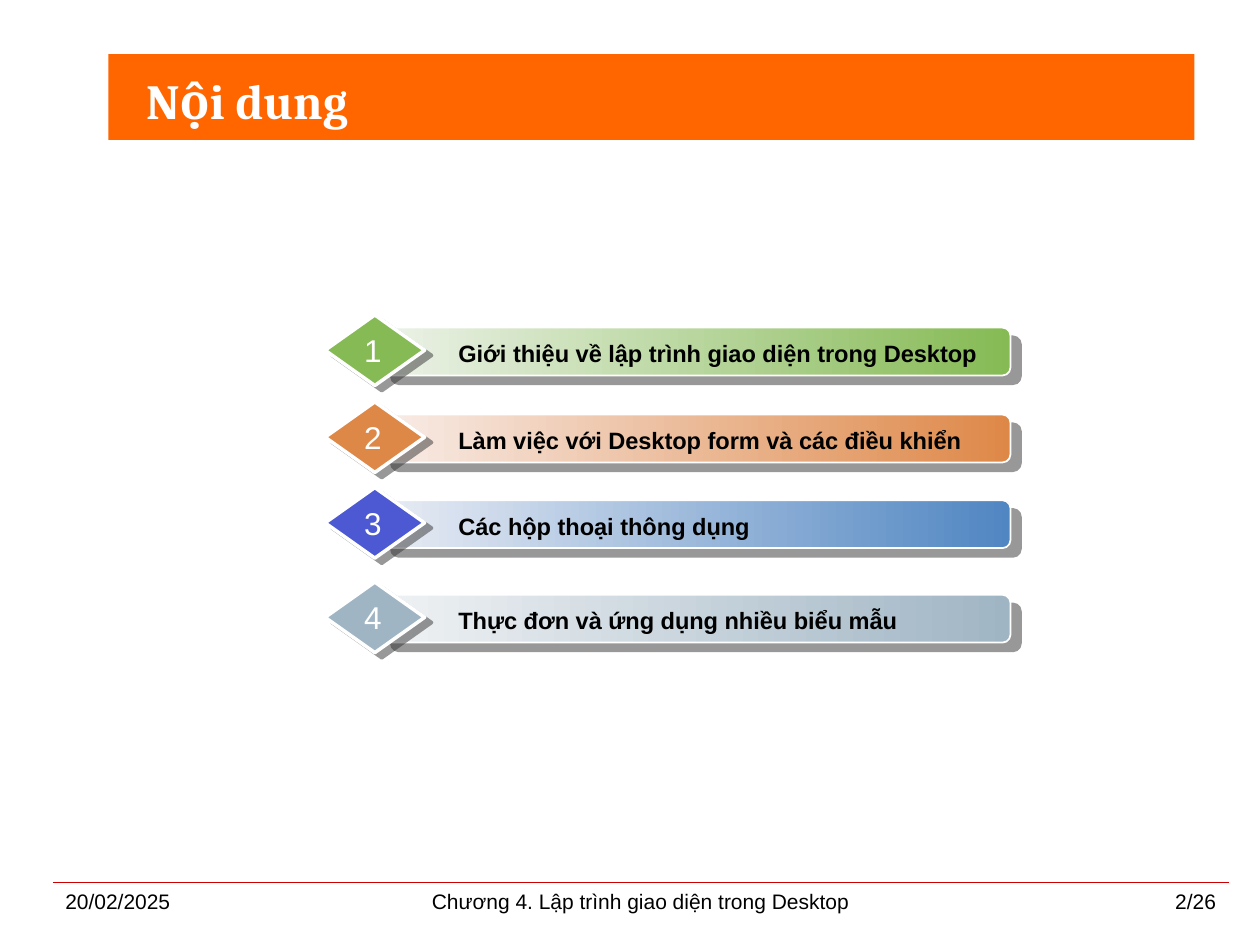
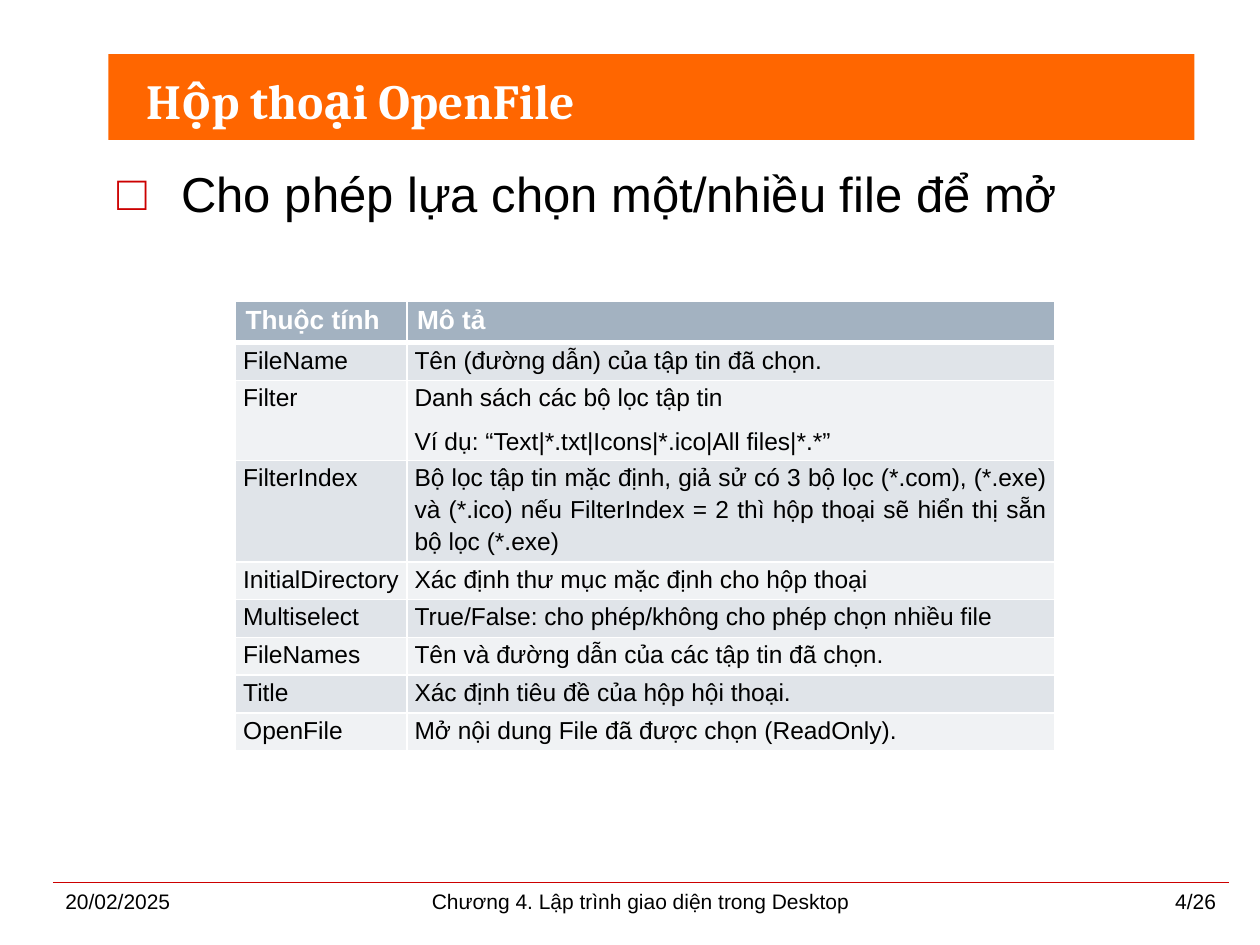
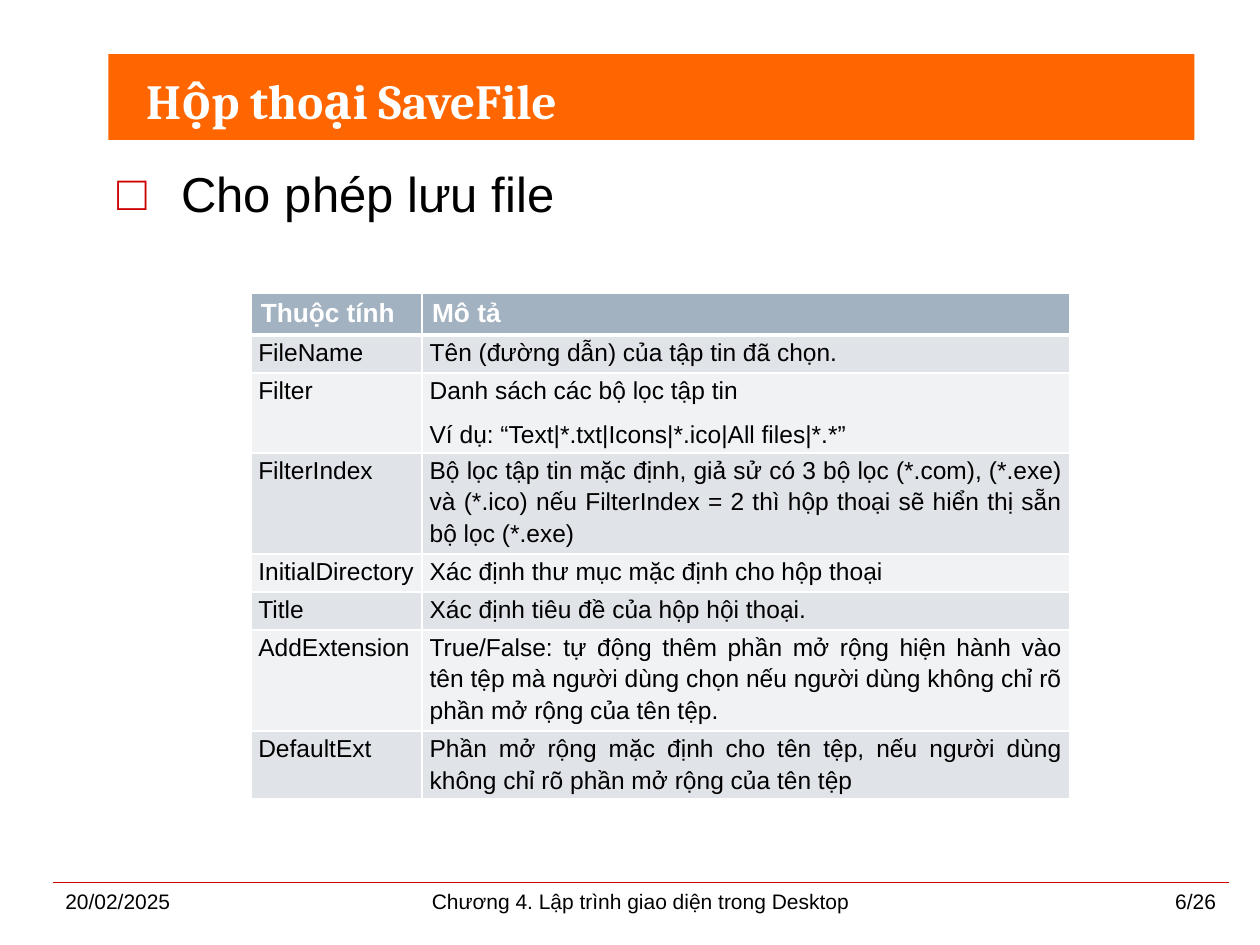
from lxml.etree import SubElement
from pptx import Presentation
from pptx.dml.color import RGBColor
from pptx.enum.shapes import MSO_CONNECTOR, MSO_SHAPE
from pptx.enum.text import MSO_ANCHOR, MSO_AUTO_SIZE, PP_ALIGN
from pptx.oxml.ns import qn
from pptx.util import Emu, Pt

EMU_PER_PX = 9144
BLACK, WHITE = "000000", "FFFFFF"
ORANGE, RED, SHADOW = "FF6600", "CC0000", "333333"
HEADER_FILL, ODD_FILL, EVEN_FILL = "A3B2C1", "E0E4E9", "F0F2F4"
BODY_FONT, TITLE_FONT = "Arial", "Cambria"
TITLE_ONLY, TITLE_AND_CONTENT = 5, 1

DATE = "20/02/2025"
CHAPTER = "Chương 4. Lập trình giao diện trong Desktop"
PAGE_COUNT = 26

AGENDA = [
    (260, "Giới thiệu về lập trình giao diện trong Desktop", "85BA54", "ECF2E8", "85BA54"),
    (329, "Làm việc với Desktop form và các điều khiển", "DE8848", "F8ECE7", "DE8848"),
    (397, "Các hộp thoại thông dụng", "4C59D2", "E8ECF4", "5086C2"),
    (472, "Thực đơn và ứng dụng nhiều biểu mẫu", "A0B5C4", "EFF2F4", "A0B5C4"),
]

HEADINGS = (33, "Thuộc tính", "Mô tả")
TITLE_ROW = (30, "Title", "Xác định tiêu đề của hộp hội thoại.")
COMMON_ROWS = [
    (30, "FileName", "Tên (đường dẫn) của tập tin đã chọn."),
    (57, "Filter", "Danh sách các bộ lọc tập tin\nVí dụ: “Text|*.txt|Icons|*.ico|All files|*.*”"),
    (75, "FilterIndex", "Bộ lọc tập tin mặc định, giả sử có 3 bộ lọc (*.com), (*.exe) và (*.ico) "
     "nếu FilterIndex = 2 thì hộp thoại sẽ hiển thị sẵn bộ lọc (*.exe)"),
    (30, "InitialDirectory", "Xác định thư mục mặc định cho hộp thoại"),
]
OPEN_ROWS = COMMON_ROWS + [
    (30, "Multiselect", "True/False: cho phép/không cho phép chọn nhiều file"),
    (30, "FileNames", "Tên và đường dẫn của các tập tin đã chọn."),
    TITLE_ROW,
    (30, "OpenFile", "Mở nội dung File đã được chọn (ReadOnly)."),
]
SAVE_ROWS = COMMON_ROWS + [
    TITLE_ROW,
    (75, "AddExtension", "True/False: tự động thêm phần mở rộng hiện hành vào tên tệp mà người dùng "
     "chọn nếu người dùng không chỉ rõ phần mở rộng của tên tệp."),
    (50, "DefaultExt", "Phần mở rộng mặc định cho tên tệp, nếu người dùng không chỉ rõ "
     "phần mở rộng của tên tệp"),
]


def px(length):
    """Turn px into EMU, at 100 px to the inch."""
    return Emu(length * EMU_PER_PX)


def box(*lengths):
    """Turn left, top, width and height into EMU."""
    return [px(length) for length in lengths]


def color(hex_value):
    """Return the colour of a hex string."""
    return RGBColor.from_string(hex_value)


def format_text(text_frame, size, hex_value=BLACK, bold=False, align=PP_ALIGN.LEFT, font=BODY_FONT):
    """Format every run and paragraph of a text frame."""
    for paragraph in text_frame.paragraphs:
        paragraph.alignment = align
        for run in paragraph.runs:
            run.font.name = font
            run.font.size = Pt(size)
            run.font.bold = bold
            run.font.color.rgb = color(hex_value)


def add_text(shapes, place, text, size, wrap=True, **style):
    """Add a text box with one style."""
    text_frame = shapes.add_textbox(*box(*place)).text_frame
    text_frame.text = text
    text_frame.word_wrap = wrap
    format_text(text_frame, size, **style)
    return text_frame


def add_preset(shapes, kind, place, fill=None, line_width=0):
    """Add a preset shape with an optional solid fill and white outline."""
    shape = shapes.add_shape(kind, *box(*place))
    shape.shadow.inherit = False
    if fill:
        shape.fill.solid()
        shape.fill.fore_color.rgb = color(fill)
    if line_width:
        shape.line.color.rgb = color(WHITE)
        shape.line.width = Pt(line_width)
    else:
        shape.line.fill.background()
    return shape


def add_shadow(shape, distance, angle):
    """Give a shape a hard half-transparent shadow."""
    effects = shape.element.spPr.find(qn("a:effectLst"))
    shadow = SubElement(effects, qn("a:outerShdw"), blurRad="0", dist=str(Pt(distance)),
                        dir=str(angle * 60000), algn="ctr", rotWithShape="0")
    tint = SubElement(shadow, qn("a:srgbClr"), val=SHADOW)
    SubElement(tint, qn("a:alpha"), val="50000")


def move_to_master(presentation, shape, shape_id):
    """Move a shape behind the placeholders of the slide master."""
    shape.element.xpath(".//p:cNvPr")[0].set("id", str(shape_id))
    presentation.slide_master.shapes.element.insert(2, shape.element)


def add_shared_frame(presentation, slide):
    """Put the title band and footer line on the slide master."""
    band = add_preset(slide.shapes, MSO_SHAPE.RECTANGLE, (86, 43, 862, 68), ORANGE)
    line = slide.shapes.add_connector(MSO_CONNECTOR.STRAIGHT, *box(42, 700, 975, 700))
    line.line.color.rgb = color(RED)
    line.line.width = Pt(0.25)
    SubElement(line.element.spPr, qn("a:effectLst"))
    move_to_master(presentation, band, 101)
    move_to_master(presentation, line, 102)


def place_placeholder(placeholder, place, text):
    """Position a placeholder and set its text."""
    placeholder.left, placeholder.top, placeholder.width, placeholder.height = box(*place)
    placeholder.text_frame.text = text
    placeholder.text_frame.auto_size = MSO_AUTO_SIZE.NONE
    return placeholder.text_frame


def add_slide(presentation, layout, title, page):
    """Add a slide with its title and footer."""
    slide = presentation.slides.add_slide(presentation.slide_layouts[layout])
    text_frame = place_placeholder(slide.shapes.title, (106, 42, 819, 75), title)
    text_frame.vertical_anchor = MSO_ANCHOR.MIDDLE
    format_text(text_frame, 28, WHITE, True, font=TITLE_FONT)
    for left, width, text, align in (
        (42, 217, DATE, PP_ALIGN.LEFT),
        (292, 433, CHAPTER, PP_ALIGN.CENTER),
        (758, 217, f"{page}/{PAGE_COUNT}", PP_ALIGN.RIGHT),
    ):
        add_text(slide.shapes, (left, 700, width, 35), text, 12, align=align)
    return slide


def add_agenda_item(slide, number, top, text, badge_color, start_color, end_color):
    """Add a gradient bar with a numbered diamond."""
    shapes = slide.shapes.add_group_shape().shapes
    bar = add_preset(shapes, MSO_SHAPE.ROUNDED_RECTANGLE, (302, top, 500, 38), line_width=1)
    bar.fill.gradient()
    bar.fill.gradient_angle = 0
    for stop, position, hex_value in zip(bar.fill.gradient_stops, (0, 1), (start_color, end_color)):
        stop.position = position
        stop.color.rgb = color(hex_value)
    add_shadow(bar, 7.8, 40)
    badge = add_preset(shapes, MSO_SHAPE.DIAMOND, (258, top - 10, 79, 56), badge_color, 2)
    add_shadow(badge, 5, 37)
    label = add_text(shapes, (354, top + 4, 447, 33), text, 13.5, bold=True)
    numeral = add_text(shapes, (279, top - 2, 34, 40), str(number), 18, wrap=False,
                       hex_value=WHITE, align=PP_ALIGN.CENTER)
    for text_frame in (label, numeral):
        text_frame.auto_size = MSO_AUTO_SIZE.SHAPE_TO_FIT_TEXT


def fill_body(slide, text):
    """Fill the body placeholder with one square-bulleted line."""
    text_frame = place_placeholder(slide.placeholders[1], (83, 125, 867, 567), text)
    paragraph = text_frame.paragraphs[0]
    properties = paragraph._p.get_or_add_pPr()
    properties.set("marL", str(px(51)))
    properties.set("indent", str(px(-51)))
    bullet_color = SubElement(properties, qn("a:buClr"))
    SubElement(bullet_color, qn("a:srgbClr"), val=RED)
    SubElement(properties, qn("a:buChar"), char="□")
    paragraph.space_before = Pt(0)
    format_text(text_frame, 28, align=PP_ALIGN.JUSTIFY)


def set_borders(cell, top_width, bottom_width):
    """Draw white borders around a cell."""
    properties = cell._tc.get_or_add_tcPr()
    for side, width in (("L", 1), ("R", 1), ("T", top_width), ("B", bottom_width)):
        line = SubElement(properties, qn(f"a:ln{side}"), w=str(Pt(width)))
        fill = SubElement(line, qn("a:solidFill"))
        SubElement(fill, qn("a:srgbClr"), val=WHITE)


def format_cell(cell, row_number):
    """Style a cell as a heading or as part of a banded row."""
    heading = row_number == 0
    set_borders(cell, 3 if row_number == 1 else 1, 3 if heading else 1)
    cell.fill.solid()
    row_fill = ODD_FILL if row_number % 2 else EVEN_FILL
    cell.fill.fore_color.rgb = color(HEADER_FILL if heading else row_fill)
    cell.margin_left = cell.margin_right = px(8 if heading else 6)
    cell.margin_top = cell.margin_bottom = px(4 if heading else 0)
    if heading:
        format_text(cell.text_frame, 15, WHITE, True)
        return
    format_text(cell.text_frame, 14, align=PP_ALIGN.JUSTIFY)
    for paragraph in cell.text_frame.paragraphs:
        paragraph.line_spacing = 1.15
        paragraph.space_after = Pt(7)


def add_property_table(slide, left, top, rows):
    """Add the table of dialog properties."""
    rows = [HEADINGS] + rows
    height = sum(row[0] for row in rows)
    table = slide.shapes.add_table(len(rows), 2, *box(left, top, 650, height)).table
    for column, width in zip(table.columns, (136, 514)):
        column.width = px(width)
    for row_number, (row_height, *texts) in enumerate(rows):
        table.rows[row_number].height = px(row_height)
        for cell, text in zip(table.rows[row_number].cells, texts):
            cell.text_frame.text = text
            format_cell(cell, row_number)


def main():
    """Build and save the presentation."""
    presentation = Presentation()
    presentation.slide_width, presentation.slide_height = px(1000), px(750)

    agenda = add_slide(presentation, TITLE_ONLY, "Nội dung", 2)
    add_shared_frame(presentation, agenda)
    for number, item in enumerate(AGENDA, 1):
        add_agenda_item(agenda, number, *item)

    open_dialog = add_slide(presentation, TITLE_AND_CONTENT, "Hộp thoại OpenFile", 4)
    fill_body(open_dialog, "Cho phép lựa chọn một/nhiều file để mở")
    add_property_table(open_dialog, 187, 239, OPEN_ROWS)

    save_dialog = add_slide(presentation, TITLE_AND_CONTENT, "Hộp thoại SaveFile", 6)
    fill_body(save_dialog, "Cho phép lưu file")
    add_property_table(save_dialog, 199, 233, SAVE_ROWS)

    presentation.save("out.pptx")


if __name__ == "__main__":
    main()
